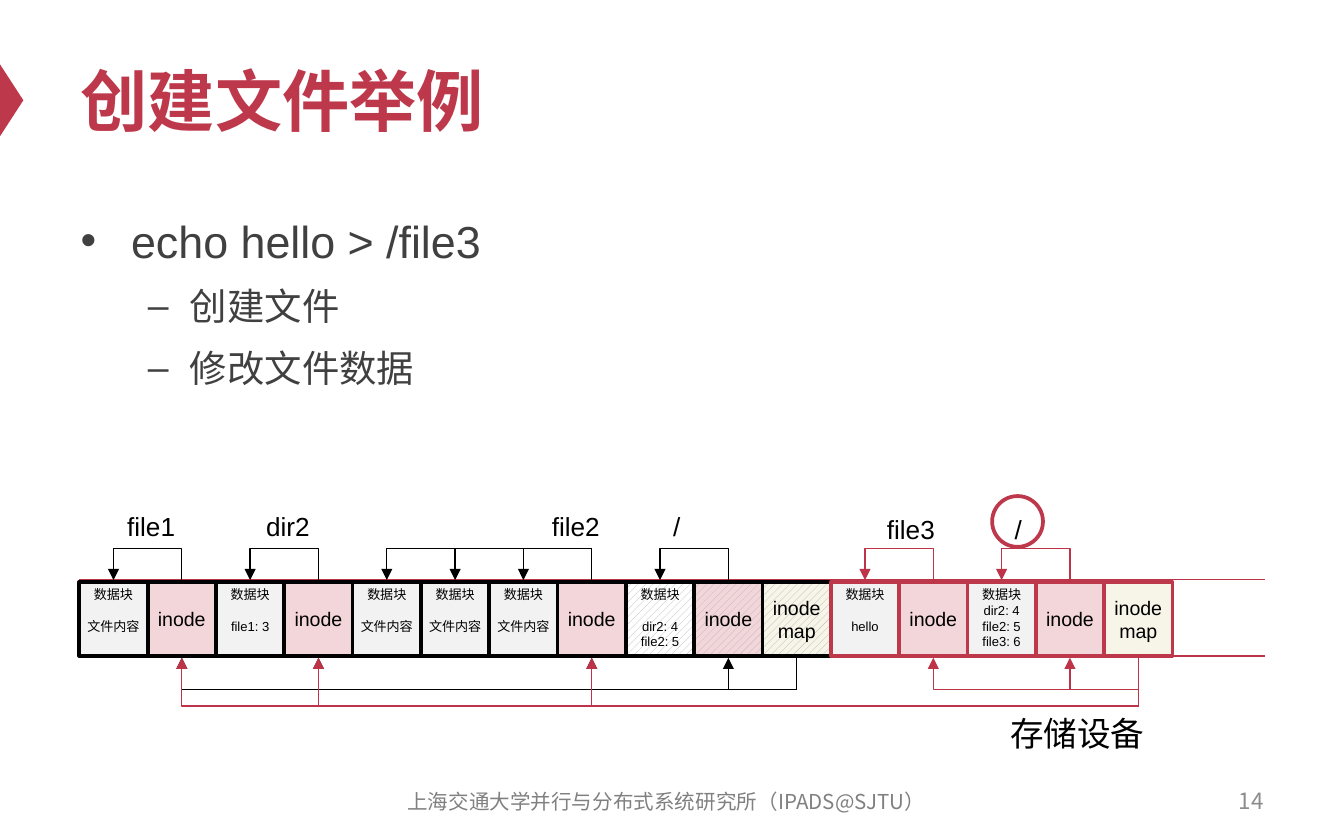
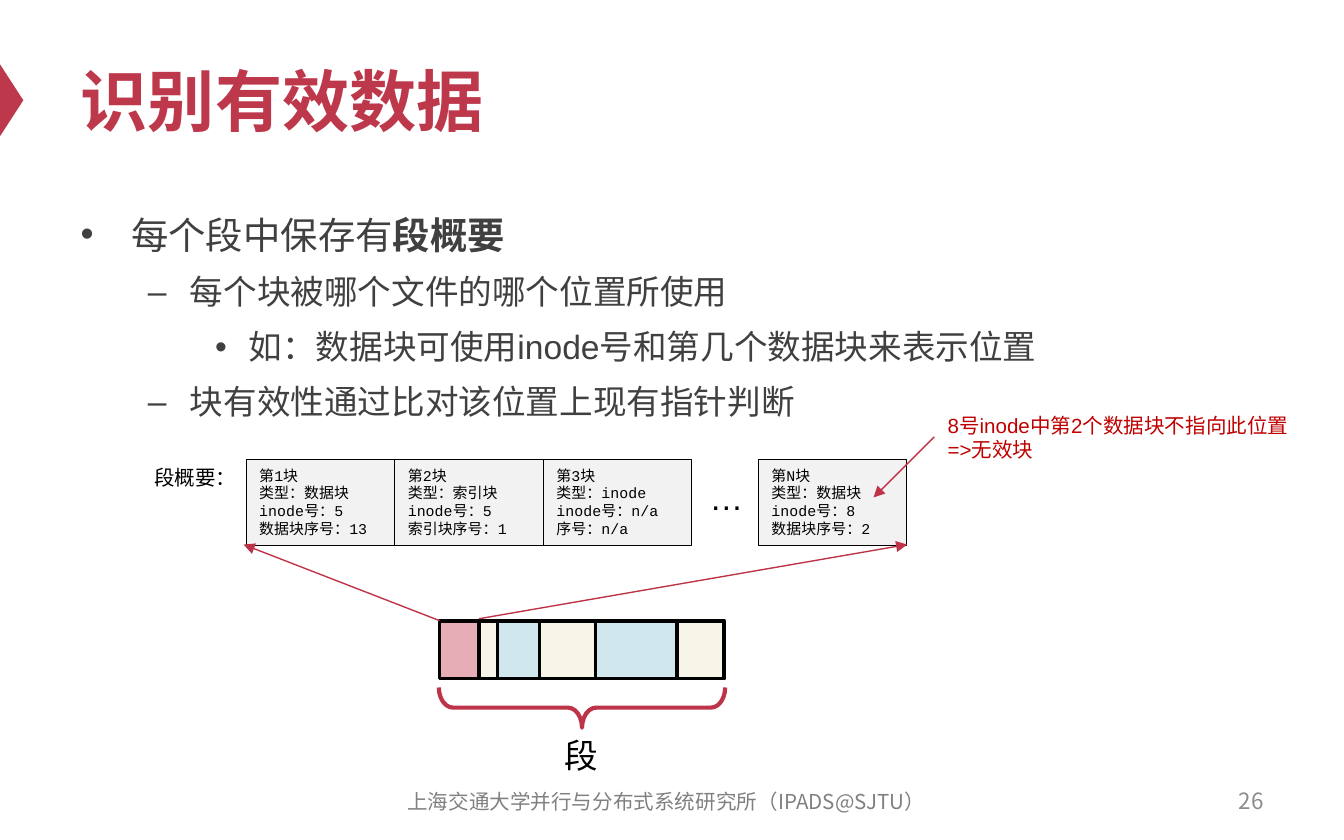
from lxml import etree
from pptx import Presentation
from pptx import util as u
from pptx.dml.color import RGBColor
from pptx.enum import dml, shapes, text
from pptx.oxml.ns import qn


class Theme:
    red, link_red, warning = "BE384B", "BD3347", "C00000"
    black, white, body = "000000", "FFFFFF", "404040"
    footer, number, hatch = "808080", "8C8C8C", "B4B4B4"
    gray, pink, rose, cream, blue = "F2F2F2", "F3D6DA", "E7ADB6", "F7F4E8", "D0E7EE"
    sans, mono, cjk = "Arial", "Courier New", "Noto Sans CJK SC"
    title_size, label_size, device_size, note_size = 36, 14, 18, 11
    data_size, inode_size, summary_size, number_size = 7, 10.5, 8, 12


RECT = shapes.MSO_SHAPE.RECTANGLE
LEFT, CENTER, RIGHT = text.PP_ALIGN.LEFT, text.PP_ALIGN.CENTER, text.PP_ALIGN.RIGHT
TOP, MIDDLE = text.MSO_ANCHOR.TOP, text.MSO_ANCHOR.MIDDLE


def draw(slide, kind, box, lines=(), fill=None, edge=None, weight=2, hatched=False,
         size=Theme.label_size, color=Theme.black, font=Theme.sans, align=LEFT, gap=0, **frame_format):
    place = [u.Pt(value) for value in box]
    if kind is None:
        item = slide.shapes.add_textbox(*place)
    else:
        item = slide.shapes.add_shape(kind, *place)
        item.shadow.inherit = False
        if hatched:
            item.fill.patterned()
            item.fill.pattern = dml.MSO_PATTERN.WIDE_UPWARD_DIAGONAL
            item.fill.fore_color.rgb = RGBColor.from_string(Theme.hatch)
            item.fill.back_color.rgb = RGBColor.from_string(fill)
        elif fill:
            item.fill.solid()
            item.fill.fore_color.rgb = RGBColor.from_string(fill)
        else:
            item.fill.background()
        if edge:
            item.line.color.rgb = RGBColor.from_string(edge)
            item.line.width = u.Pt(weight)
        else:
            item.line.fill.background()
    frame = item.text_frame
    for key, value in {"word_wrap": False, "vertical_anchor": TOP, **frame_format}.items():
        setattr(frame, key, value)
    for index, words in enumerate(lines):
        paragraph = frame.add_paragraph() if index else frame.paragraphs[0]
        paragraph.alignment = align
        if index == 1 and gap:
            paragraph.space_before = u.Pt(gap)
        run = paragraph.add_run()
        run.text = words
        for key, value in {"name": font, "size": u.Pt(size)}.items():
            setattr(run.font, key, value)
        run.font.color.rgb = RGBColor.from_string(color)
    return item


def link(slide, start, end, color=Theme.link_red, depth=0, arrow=True):
    (x1, y1), (x2, y2) = start, end
    kind = shapes.MSO_CONNECTOR.STRAIGHT
    if depth:
        kind, span = shapes.MSO_CONNECTOR.ELBOW, x1 - x2
        middle_x, middle_y = (x1 + x2) / 2, y1 + (0.5 if depth > 0 else -0.5)
        x1, x2 = middle_x - 0.5, middle_x + 0.5
        y1, y2 = middle_y - span / 2, middle_y + span / 2
    line = slide.shapes.add_connector(kind, *[u.Pt(value) for value in (x1, y1, x2, y2)])
    line.line.color.rgb = RGBColor.from_string(color)
    line.line.width = u.Pt(0.75)
    properties = line._element.spPr
    if depth:
        transform = properties.find(qn("a:xfrm"))
        transform.set("rot", "5400000" if depth > 0 else "16200000")
        if depth < 0:
            transform.set("flipV", "1")
        guides = properties.find(qn("a:prstGeom")).find(qn("a:avLst"))
        etree.SubElement(guides, qn("a:gd"), name="adj1", fmla=f"val {abs(depth) * 100000}")
    if arrow:
        etree.SubElement(properties.find(qn("a:ln")), qn("a:tailEnd"), type="triangle")
    etree.SubElement(properties, qn("a:effectLst"))


deck = Presentation()
deck.slide_width, deck.slide_height = u.Pt(720), u.Pt(450)

levels = [("•", 27, -27), ("–", 58.5, -22.5), ("•", 90, -18)]
pages = [
    ("创建文件举例", "14", [
        (0, 24, ["echo hello > /file3"]),
        (1, 20, ["创建文件"]),
        (1, 20, ["修改文件数据"]),
    ]),
    ("识别有效数据", "26", [
        (0, 20, ["每个段中保存有", "段概要"]),
        (1, 18, ["每个块被哪个文件的哪个位置所使用"]),
        (2, 18, ["如：数据块可使用inode号和第几个数据块来表示位置"]),
        (1, 18, ["块有效性通过比对该位置上现有指针判断"]),
    ]),
]

for heading, number, points in pages:
    slide = deck.slides.add_slide(deck.slide_layouts[1])
    title, outline = slide.placeholders
    for holder, box in ((title, (36, 18, 648, 70.5)), (outline, (36, 105, 648, 296.5))):
        for key, value in zip(("left", "top", "width", "height"), box):
            setattr(holder, key, u.Pt(value))
        holder.text_frame.auto_size = text.MSO_AUTO_SIZE.NONE
    title.text_frame.vertical_anchor = MIDDLE
    title.text_frame.text = heading
    title.text_frame.paragraphs[0].alignment = LEFT
    heading_font = title.text_frame.paragraphs[0].runs[0].font
    for key, value in {"name": Theme.sans, "size": u.Pt(Theme.title_size), "bold": True}.items():
        setattr(heading_font, key, value)
    heading_font.color.rgb = RGBColor.from_string(Theme.red)

    for index, (level, size, parts) in enumerate(points):
        point = outline.text_frame.add_paragraph() if index else outline.text_frame.paragraphs[0]
        bullet, margin, indent = levels[level]
        for key, value in {"level": level, "line_spacing": 1.2, "alignment": LEFT,
                           "space_before": u.Pt(0.2 * size if index else 0)}.items():
            setattr(point, key, value)
        settings = point._p.get_or_add_pPr()
        settings.set("marL", str(u.Pt(margin)))
        settings.set("indent", str(u.Pt(indent)))
        etree.SubElement(settings, qn("a:buFont"), typeface=Theme.sans)
        etree.SubElement(settings, qn("a:buChar"), char=bullet)
        for part_index, words in enumerate(parts):
            run = point.add_run()
            run.text = words
            for key, value in {"name": Theme.sans, "size": u.Pt(size), "bold": part_index > 0}.items():
                setattr(run.font, key, value)
            run.font.color.rgb = RGBColor.from_string(Theme.body)

    draw(slide, shapes.MSO_SHAPE.ISOSCELES_TRIANGLE, (-13, 47.5, 38.5, 12.5), fill=Theme.red).rotation = 90
    draw(slide, None, (516, 417, 168, 24), [number], size=Theme.number_size, color=Theme.number,
         font=Theme.cjk, align=RIGHT, vertical_anchor=MIDDLE, word_wrap=True)
    draw(slide, None, (201, 417.5, 312, 24), ["上海交通大学并行与分布式系统研究所（IPADS@SJTU）"],
         size=Theme.note_size, color=Theme.footer, font=Theme.cjk, align=CENTER,
         vertical_anchor=MIDDLE, word_wrap=True)

log_slide, segment_slide = deck.slides

log_left, log_top, block_width, block_height = 42.5, 311.8, 36.6, 39.6
log_bottom = log_top + block_height
for rail in (310.5, 351.4):
    link(log_slide, (log_left, rail), (677.5, rail), arrow=False)

inode, inode_map = ["inode"], ["inode", "map"]
file_data = ["数据块", "文件内容"]
log_blocks = [
    file_data, inode, ["数据块", "file1: 3"], inode,
    file_data, file_data, file_data, inode,
    ["数据块", "dir2: 4", "file2: 5"], inode, inode_map,
    ["数据块", "hello"], inode,
    ["数据块", "dir2: 4", "file2: 5", "file3: 6"], inode, inode_map,
]
old_root, new_start = range(8, 11), 11
for index, lines in enumerate(log_blocks):
    is_data = lines[0] == "数据块"
    hatched = index in old_root
    fill = Theme.gray if is_data else Theme.pink if lines is inode else Theme.cream
    if is_data:
        layout = {"vertical_anchor": TOP, "margin_top": u.Pt(2.5), "size": Theme.data_size,
                  "gap": 8.5 if len(lines) < 4 else 0}
    else:
        layout = {"vertical_anchor": MIDDLE, "size": Theme.inode_size}
    draw(log_slide, RECT, (log_left + index * block_width, log_top, block_width, block_height), lines,
         fill=Theme.white if hatched and is_data else fill, hatched=hatched,
         edge=Theme.red if index >= new_start else Theme.black, align=CENTER, **layout)

pointers = [
    (log_top, -18, [(1, 0), (3, 2), (7, 4), (7, 5), (7, 6), (9, 8), (12, 11), (14, 13)]),
    (log_bottom, 18, [(10, 9), (10, 7), (10, 3), (10, 1), (15, 14), (15, 12)]),
    (log_bottom, 27, [(15, 7), (15, 3), (15, 1)]),
]
for edge_y, depth, pairs in pointers:
    for pair in pairs:
        start, end = [(log_left + (index + 0.5) * block_width, edge_y) for index in pair]
        link(log_slide, start, end, Theme.link_red if pair[0] >= new_start else Theme.black, depth)

for name, left, top, width in [("file1", 61, 270, 40.5), ("dir2", 135.5, 270, 38), ("file2", 288.5, 270, 40.5),
                               ("/", 353.5, 270, 18.5), ("file3", 468, 271.5, 40.5), ("/", 536.5, 271.5, 18.5)]:
    draw(log_slide, None, (left, top, width, 24.5), [name])
draw(log_slide, None, (534, 378.5, 87, 29), ["存储设备"], size=Theme.device_size)
draw(log_slide, shapes.MSO_SHAPE.OVAL, (531.5, 265.75, 27.25, 27.25), edge=Theme.red)

for left, width, fill in [(256.5, 131.5, Theme.cream), (266.5, 22.5, Theme.blue),
                          (319, 43.5, Theme.blue), (235.5, 21, Theme.rose)]:
    draw(segment_slide, RECT, (left, 332.5, width, 31), fill=fill, edge=Theme.black)
brace = draw(segment_slide, shapes.MSO_SHAPE.RIGHT_BRACE, (301, 302.4, 21.6, 153.4),
             edge=Theme.link_red, weight=2.25)
brace.rotation = 90
brace.adjustments[0] = 0.35
draw(segment_slide, None, (295.5, 390, 32.5, 29), ["段"], size=Theme.device_size)

summary_left, summary_top, summary_width, summary_height = 131.8, 246.2, 79.6, 46.1
last_left = 406.2
summaries = [
    ["第1块", "类型：数据块", "inode号：5", "数据块序号：13"],
    ["第2块", "类型：索引块", "inode号：5", "索引块序号：1"],
    ["第3块", "类型：inode", "inode号：n/a", "序号：n/a"],
    ["第N块", "类型：数据块", "inode号：8", "数据块序号：2"],
]
for index, lines in enumerate(summaries):
    left = last_left if lines is summaries[-1] else summary_left + index * summary_width
    draw(segment_slide, RECT, (left, summary_top, summary_width, summary_height), lines, fill=Theme.gray,
         edge=Theme.black, weight=0.5, size=Theme.summary_size, font=Theme.mono, word_wrap=True)
draw(segment_slide, None, (373, 252, 32.5, 29), ["…"], size=Theme.device_size)
draw(segment_slide, None, (75.5, 245.5, 59, 21), ["段概要："], size=Theme.note_size)
draw(segment_slide, None, (500.5, 217.5, 198.5, 34), ["8号inode中第2个数据块不指向此位置", "=>无效块"],
     size=Theme.note_size, color=Theme.warning, word_wrap=True)

for start, end in [((235.5, 332.5), (130.5, 291.75)), ((256.5, 331.5), (486, 291.75)),
                   ((500.5, 234), (468, 266.5))]:
    link(segment_slide, start, end)

for slide in deck.slides:
    for item in slide.shapes:
        if item.has_text_frame:
            for paragraph in item.text_frame.paragraphs:
                for run in paragraph.runs:
                    etree.SubElement(run._r.get_or_add_rPr(), qn("a:ea"), typeface=Theme.cjk)

deck.save("out.pptx")
